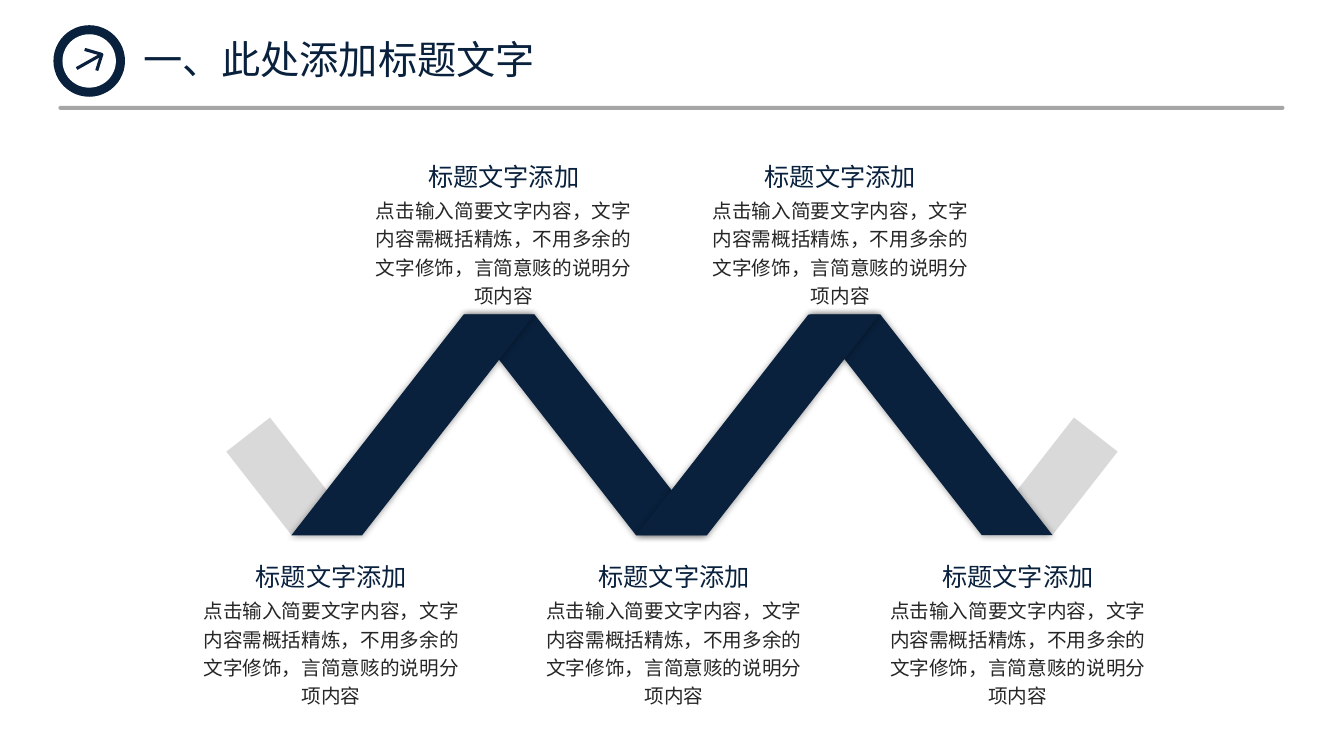
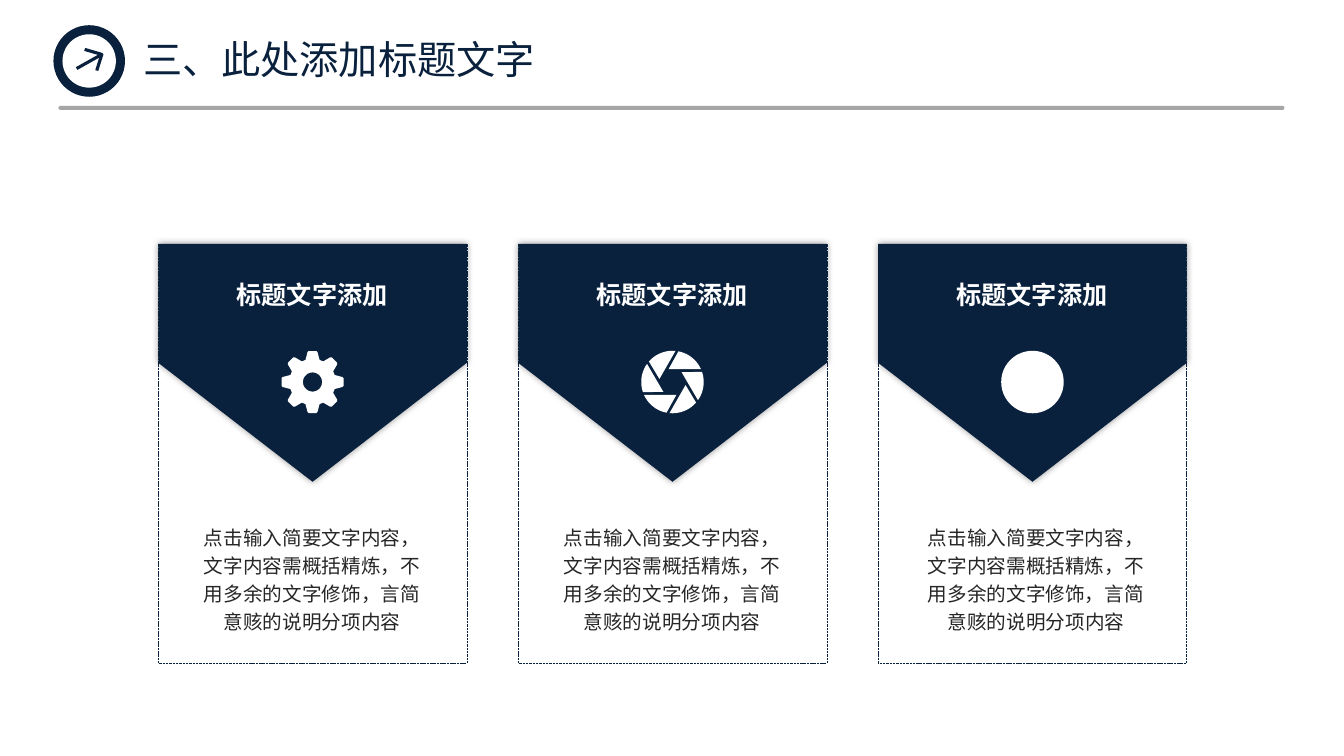
import math

import lxml.etree
import pptx
import pptx.dml.color
import pptx.enum.dml
import pptx.enum.shapes
import pptx.enum.text
import pptx.oxml.ns
import pptx.util

Inches = pptx.util.Inches
Shape = pptx.enum.shapes.MSO_SHAPE
Align = pptx.enum.text.PP_ALIGN
Anchor = pptx.enum.text.MSO_ANCHOR
qn = pptx.oxml.ns.qn

NAVY, WHITE, DARK = "09213D", "FFFFFF", "262626"
RULE_GRAY, LIGHT_GRAY = "A6A6A6", "D9D9D9"
TITLE_FONT, BODY_FONT = "Noto Sans CJK JP", "Noto Sans CJK SC"

HEADING = "标题文字添加"
BODY = "点击输入简要文字内容，文字内容需概括精炼，不用多余的文字修饰，言简意赅的说明分项内容"


def color(value):
    return pptx.dml.color.RGBColor.from_string(value)


def polar(center, radius, degrees):
    angle = math.radians(degrees)
    return (center[0] + radius * math.cos(angle),
            center[1] + radius * math.sin(angle))


def arc(center, radius, start, end, steps):
    return [polar(center, radius, start + (end - start) * step / steps)
            for step in range(steps + 1)]


class SlideBuilder:
    def __init__(self):
        self.deck = pptx.Presentation()
        self.deck.slide_width = Inches(13.33)
        self.deck.slide_height = Inches(7.5)
        self.slide = None

    def new_slide(self, title):
        self.slide = self.deck.slides.add_slide(self.deck.slide_layouts[5])
        box = self.slide.shapes.title
        self.place(box, 1.32, 0.3, 4.13, 0.57)
        self.set_text(box, title, 28, TITLE_FONT, NAVY, Align.LEFT)
        box.text_frame.word_wrap = False
        box.text_frame.vertical_anchor = Anchor.MIDDLE
        # Rule and round arrow badge
        self.shape(Shape.ROUNDED_RECTANGLE, 0.58, 1.05, 12.16, 0.04,
                   RULE_GRAY, adjust=0.5)
        self.shape(Shape.OVAL, 0.53, 0.25, 0.71, 0.71, NAVY)
        self.shape(Shape.OVAL, 0.62, 0.34, 0.53, 0.53, WHITE)
        self.outline([[(0.84, 0.49), (1.01, 0.54), (0.96, 0.7)]],
                     line=NAVY, closed=False)
        self.line((0.76, 0.68), (1.01, 0.54))

    def place(self, item, left, top, width, height):
        item.left, item.top = Inches(left), Inches(top)
        item.width, item.height = Inches(width), Inches(height)

    def paint(self, item, fill=None, line=None, weight=2.25):
        item.shadow.inherit = False
        if fill:
            item.fill.solid()
            item.fill.fore_color.rgb = color(fill)
        else:
            item.fill.background()
        if line:
            item.line.color.rgb = color(line)
            item.line.width = pptx.util.Pt(weight)
        else:
            item.line.fill.background()

    def shape(self, kind, left, top, width, height, fill=None, line=None,
              weight=2.25, adjust=None, rotation=0, flip=False, glow=False):
        item = self.slide.shapes.add_shape(
            kind, Inches(left), Inches(top), Inches(width), Inches(height))
        self.paint(item, fill, line, weight)
        if adjust is not None:
            item.adjustments[0] = adjust
        item.rotation = rotation
        properties = item._element.spPr
        if flip:
            properties.find(qn("a:xfrm")).set("flipV", "1")
        if glow:
            effects = properties.find(qn("a:effectLst"))
            shadow = lxml.etree.SubElement(
                effects, qn("a:outerShdw"), blurRad=str(pptx.util.Pt(5)),
                dist="0", dir="0", algn="ctr", rotWithShape="0")
            black = lxml.etree.SubElement(shadow, qn("a:srgbClr"), val="000000")
            lxml.etree.SubElement(black, qn("a:alpha"), val="40000")
        return item

    def outline(self, contours, fill=None, line=None, closed=True):
        builder = None
        for contour in contours:
            points = [(Inches(x), Inches(y)) for x, y in contour]
            if builder is None:
                builder = self.slide.shapes.build_freeform(*points[0], scale=1.0)
            else:
                builder.move_to(*points[0])
            builder.add_line_segments(points[1:], close=closed)
        self.paint(builder.convert_to_shape(), fill, line)

    def line(self, start, end):
        connector = self.slide.shapes.add_connector(
            pptx.enum.shapes.MSO_CONNECTOR.STRAIGHT,
            *[Inches(value) for value in start + end])
        connector.line.color.rgb = color(NAVY)
        connector.line.width = pptx.util.Pt(2.25)
        lxml.etree.SubElement(connector._element.spPr, qn("a:effectLst"))

    def set_text(self, box, text, size, font, ink, align, spacing=None, bold=False):
        frame = box.text_frame
        frame.text = text
        frame.auto_size = pptx.enum.text.MSO_AUTO_SIZE.NONE
        frame.word_wrap = True
        para = frame.paragraphs[0]
        para.alignment = align
        para.line_spacing = spacing
        span = para.runs[0]
        span.font.size = pptx.util.Pt(size)
        span.font.bold = bold
        span.font.color.rgb = color(ink)
        span.font.name = font
        lxml.etree.SubElement(span.font._element, qn("a:ea"), typeface=font)

    def text(self, left, top, width, height, text, size, font, ink, bold=False):
        box = self.slide.shapes.add_textbox(
            Inches(left), Inches(top), Inches(width), Inches(height))
        self.set_text(box, text, size, font, ink, Align.CENTER, 1.2, bold)

    def heading(self, left, top, ink=NAVY, bold=False):
        self.text(left, top, 2.45, 0.44, HEADING, 18, TITLE_FONT, ink, bold)

    def body(self, left, top, width):
        self.text(left, top, width, 1.23, BODY, 14, BODY_FONT, DARK)

    # Icons, each 0.62 wide
    def gear(self, center):
        tooth = [(0.23, -17.6), (0.3, -9.5), (0.31, -7),
                 (0.31, 7), (0.3, 9.5), (0.23, 17.6)]
        rim = [polar(center, radius, 45 * index + degrees)
               for index in range(8) for radius, degrees in tooth]
        self.outline([rim, arc(center, 0.095, 360, 0, 36)], fill=WHITE)

    def aperture(self, center):
        blades = []
        for turn in range(0, 360, 60):
            edge = arc(center, 0.31, turn - 84.5, turn - 139, 10)
            blades.append(edge + [polar(center, 0.133, turn - 167)])
        self.outline(blades, fill=WHITE)

    def disc(self, center):
        self.shape(Shape.OVAL, center[0] - 0.31, center[1] - 0.31,
                   0.62, 0.62, WHITE)


def build_zigzag(builder):
    builder.new_slide("一、此处添加标题文字")
    # Loose ribbon ends
    for left, rotation in ((10.27, 38), (2.51, 322)):
        builder.shape(Shape.RECTANGLE, left, 4.2, 0.55, 1.05, LIGHT_GRAY,
                      rotation=rotation)
    # Ribbon folds: each falling band lies below its rising one
    for left, falling in ((4.6, True), (2.89, False), (8.03, True), (6.31, False)):
        builder.shape(Shape.PARALLELOGRAM, left, 3.12, 2.41, 2.19, NAVY,
                      adjust=0.78, flip=falling, glow=True)
    # Captions above and below the folds
    for top, lefts in ((1.49, (3.62, 6.96)), (5.46, (1.91, 5.31, 8.72))):
        for left in lefts:
            builder.body(left, top + 0.39, 2.75)
            builder.heading(left + 0.15, top)


def build_cards(builder):
    builder.new_slide("三、此处添加标题文字")
    cards = ((builder.gear, 1.87), (builder.aperture, 5.44), (builder.disc, 9.05))
    for index, (icon, body_left) in enumerate(cards):
        left = 1.57 + 3.57 * index
        builder.shape(Shape.PENTAGON, left + 0.35, 2.07, 2.36, 3.06, NAVY,
                      adjust=0.5, rotation=90, glow=True)
        icon((left + 1.53, 3.79))
        frame = builder.shape(Shape.RECTANGLE, left, 2.42, 3.06, 4.16,
                              line=NAVY, weight=0.25)
        frame.line.dash_style = pptx.enum.dml.MSO_LINE.SQUARE_DOT
        builder.heading(left + 0.3, 2.66, WHITE, True)
        builder.body(body_left, 5.12, 2.45)


def main():
    builder = SlideBuilder()
    build_zigzag(builder)
    build_cards(builder)
    builder.deck.save("out.pptx")


if __name__ == "__main__":
    main()
